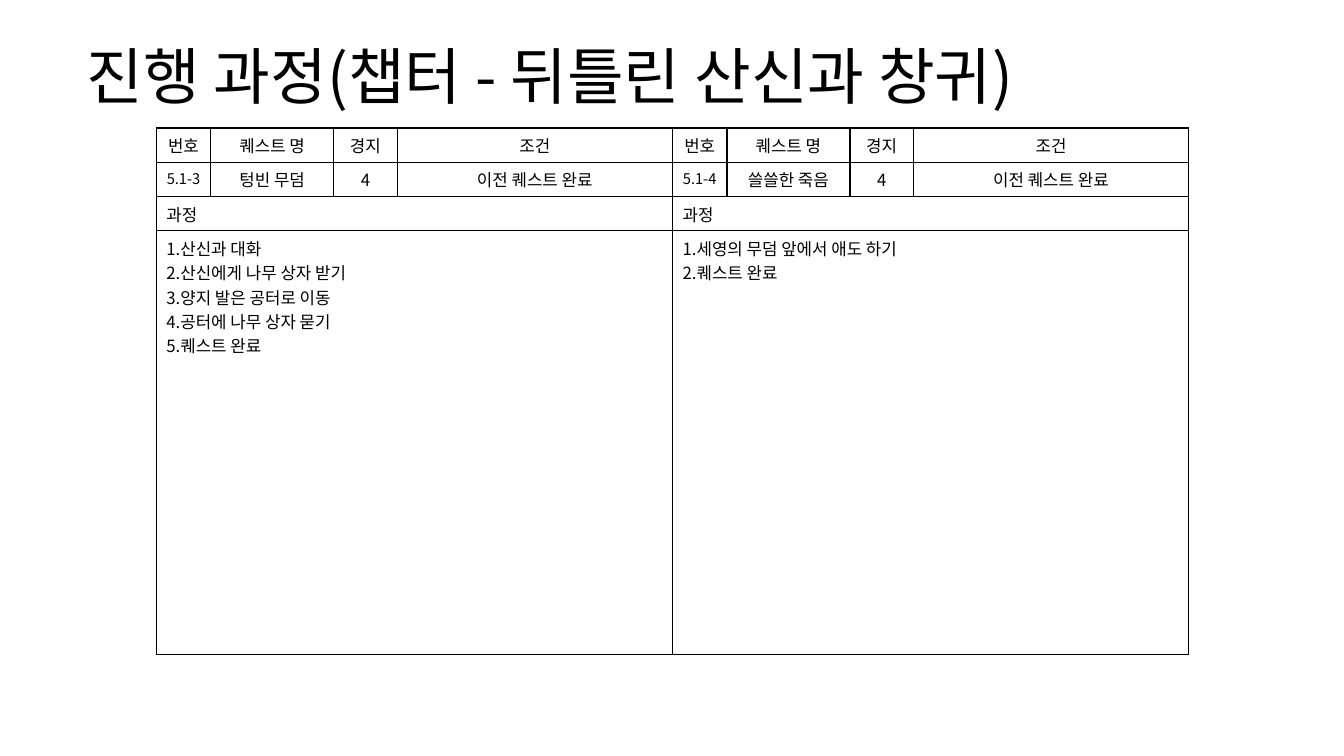
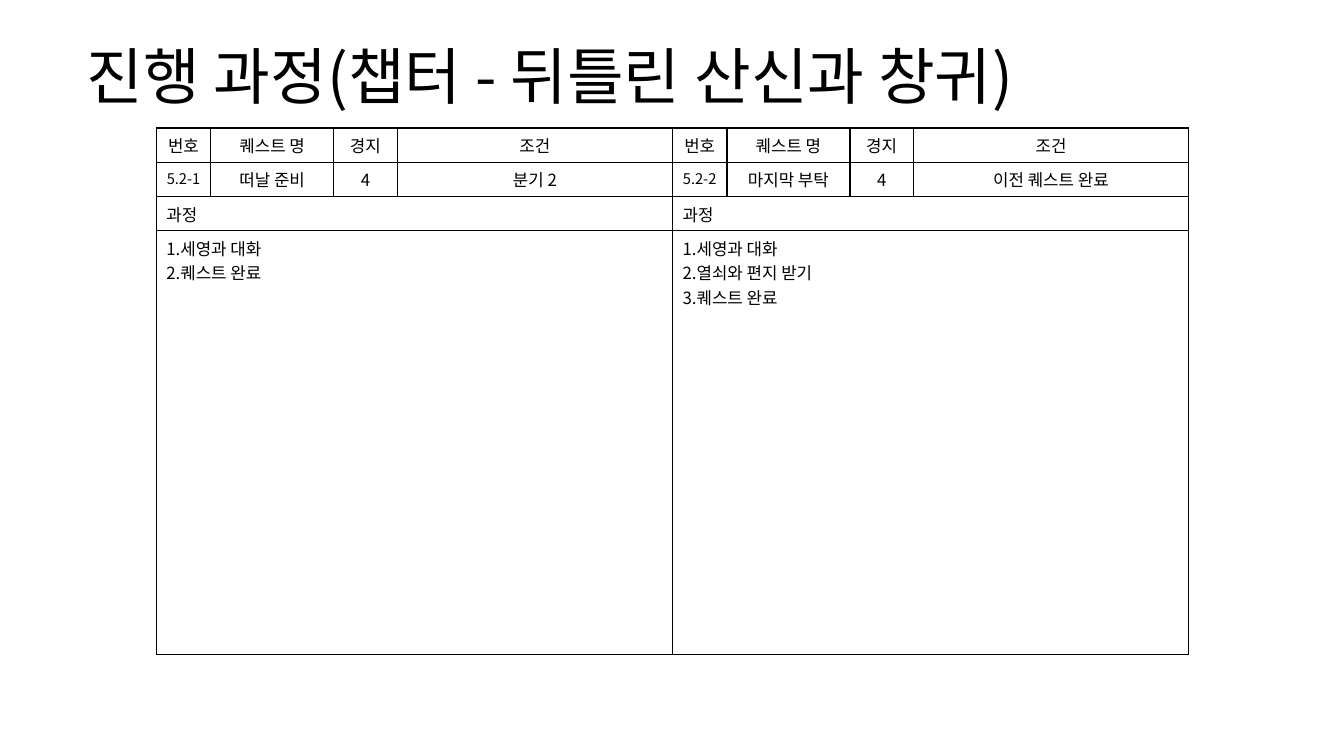
from lxml import etree
from pptx import Presentation
from pptx.dml.color import RGBColor
from pptx.enum import text as t
from pptx.oxml import ns
from pptx.util import Inches, Pt

BLACK = RGBColor(0, 0, 0)
FONT = "Noto Sans CJK KR"
TITLE = "진행 과정(챕터 - 뒤틀린 산신과 창귀)"
HEADINGS = ["번호", "퀘스트 명", "경지", "조건"]
STEPS_HEADING = "과정"
COLUMN_WIDTHS = [0.54, 1.22, 0.63, 2.73]
ROW_HEIGHTS = [0.34, 0.34, 0.34, 4.2]
TABLE_LEFT, TABLE_TOP = 1.55, 1.27
PREVIOUS_DONE = "이전 퀘스트 완료"
QUEST_DONE = "퀘스트 완료"

PAGES = [
    [
        (["5.1-3", "텅빈 무덤", "4", PREVIOUS_DONE],
         ["산신과 대화", "산신에게 나무 상자 받기", "양지 발은 공터로 이동",
          "공터에 나무 상자 묻기", QUEST_DONE]),
        (["5.1-4", "쓸쓸한 죽음", "4", PREVIOUS_DONE],
         ["세영의 무덤 앞에서 애도 하기", QUEST_DONE]),
    ],
    [
        (["5.2-1", "떠날 준비", "4", "분기 2"],
         ["세영과 대화", QUEST_DONE]),
        (["5.2-2", "마지막 부탁", "4", PREVIOUS_DONE],
         ["세영과 대화", "열쇠와 편지 받기", QUEST_DONE]),
    ],
]


def add_span(para, words, size):
    span = para.add_run()
    span.text = words
    span.font.size = Pt(size)
    span.font.name = FONT
    span.font.color.rgb = BLACK
    east_asian = etree.SubElement(span.font._element, ns.qn("a:ea"))
    east_asian.set("typeface", FONT)


def write_lines(frame, lines, size=12, align=t.PP_ALIGN.LEFT):
    for index, line in enumerate(lines):
        para = frame.add_paragraph() if index else frame.paragraphs[0]
        para.alignment = align
        add_span(para, line, size)


def style_cell(cell):
    cell.fill.background()
    properties = cell._tc.get_or_add_tcPr()
    for index, side in enumerate(["lnL", "lnR", "lnT", "lnB"]):
        border = etree.Element(ns.qn(f"a:{side}"), w=str(Pt(1)))
        fill = etree.SubElement(border, ns.qn("a:solidFill"))
        etree.SubElement(fill, ns.qn("a:srgbClr"), val=str(BLACK))
        properties.insert(index, border)


def add_title(page):
    box = page.shapes.add_textbox(Inches(0.76), Inches(0.32), Inches(11.81), Inches(0.94))
    frame = box.text_frame
    frame.word_wrap = True
    frame.vertical_anchor = t.MSO_ANCHOR.MIDDLE
    write_lines(frame, [TITLE], 44)
    frame.paragraphs[0].line_spacing = 0.9


def add_quest_table(page, left, details, steps):
    table = page.shapes.add_table(
        len(ROW_HEIGHTS), len(COLUMN_WIDTHS), Inches(left), Inches(TABLE_TOP),
        Inches(sum(COLUMN_WIDTHS)), Inches(sum(ROW_HEIGHTS))).table
    table.first_row = table.horz_banding = False
    for column, width in zip(table.columns, COLUMN_WIDTHS):
        column.width = Inches(width)
    for row, height in zip(table.rows, ROW_HEIGHTS):
        row.height = Inches(height)
    for cell in table.iter_cells():
        style_cell(cell)
    for row, values in enumerate([HEADINGS, details]):
        for column, value in enumerate(values):
            size = 10.5 if (row, column) == (1, 0) else 12
            write_lines(table.cell(row, column).text_frame, [value], size, t.PP_ALIGN.CENTER)
    numbered = [f"{number}.{step}" for number, step in enumerate(steps, 1)]
    for row, lines in enumerate([[STEPS_HEADING], numbered], 2):
        table.cell(row, 0).merge(table.cell(row, len(COLUMN_WIDTHS) - 1))
        write_lines(table.cell(row, 0).text_frame, lines)


def main():
    deck = Presentation()
    deck.slide_width, deck.slide_height = Inches(13.33), Inches(7.5)
    for quests in PAGES:
        page = deck.slides.add_slide(deck.slide_layouts[6])
        add_title(page)
        for index, (details, steps) in enumerate(quests):
            left = TABLE_LEFT + index * sum(COLUMN_WIDTHS)
            add_quest_table(page, left, details, steps)
    deck.save("out.pptx")


if __name__ == "__main__":
    main()
